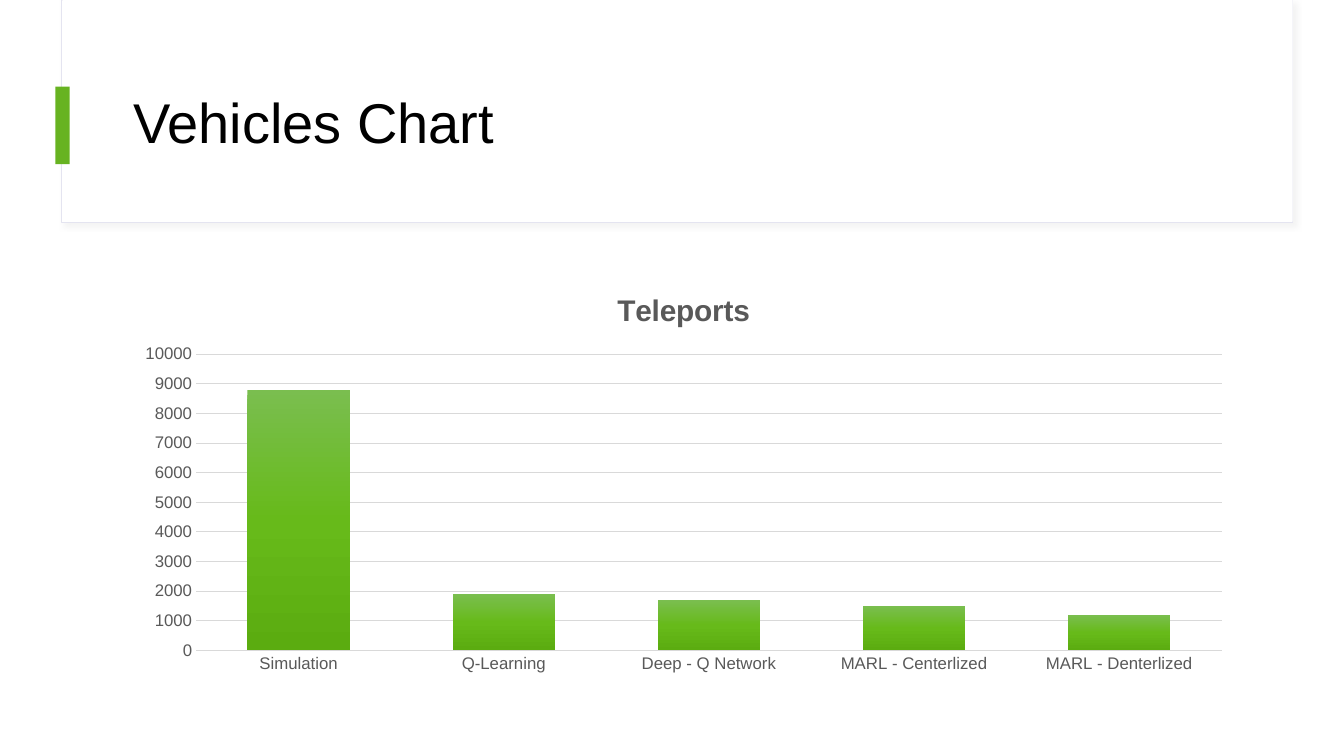
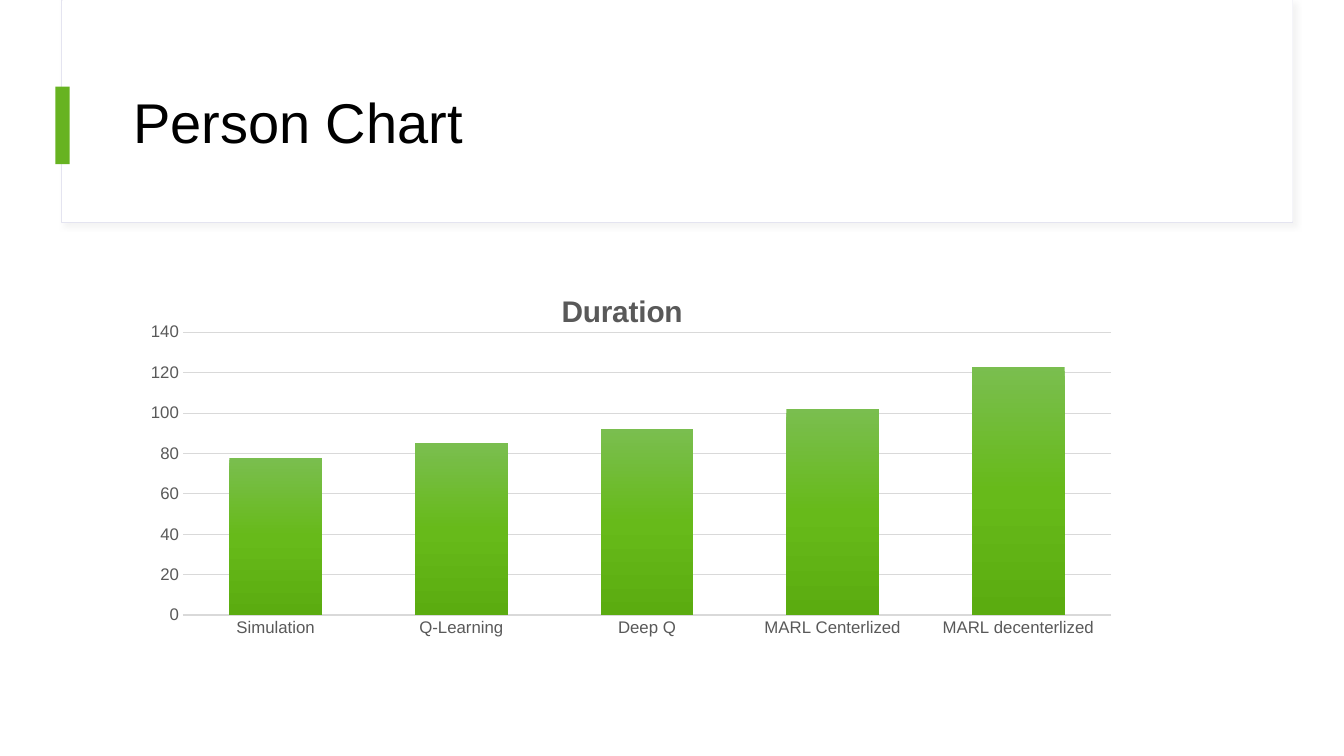
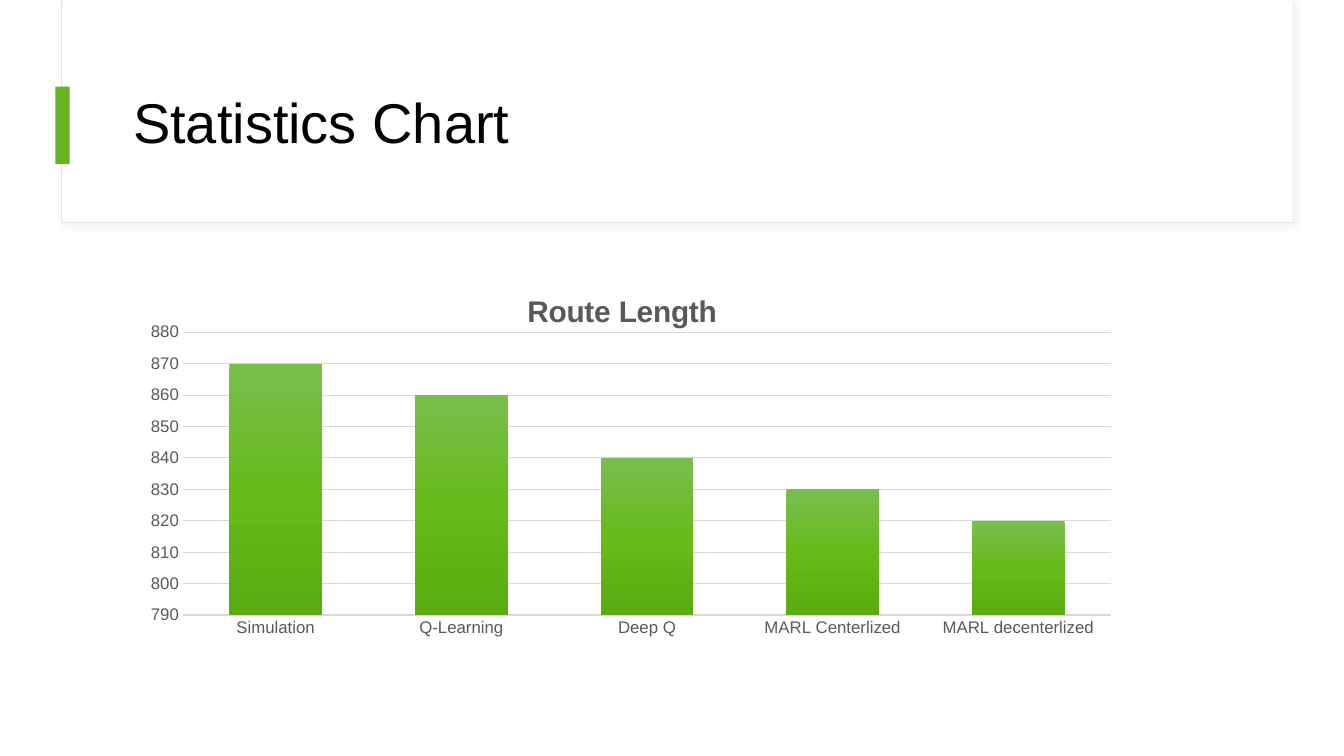
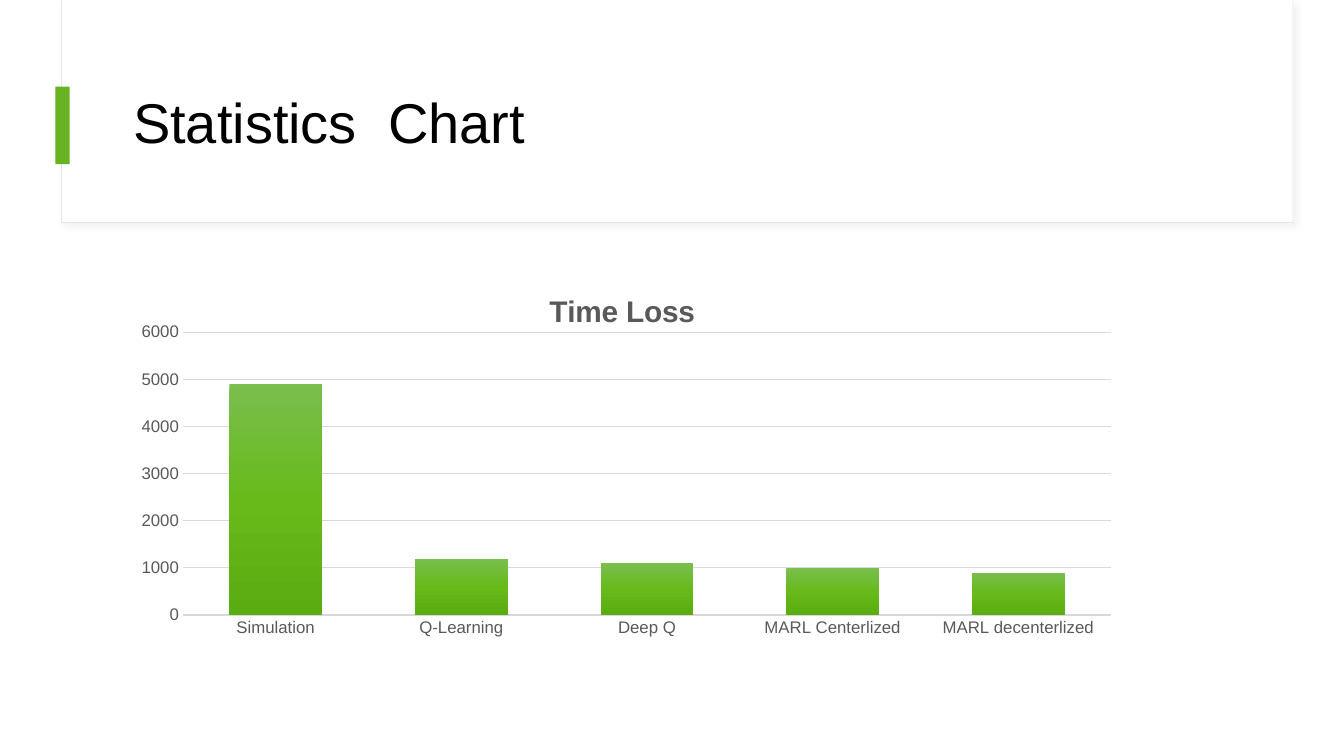
from dataclasses import dataclass

import lxml.etree
import pptx
import pptx.chart.data
import pptx.dml.color
import pptx.enum.chart
import pptx.enum.shapes
import pptx.enum.text
import pptx.oxml
import pptx.oxml.ns
import pptx.util

Inches = pptx.util.Inches
Pt = pptx.util.Pt
qn = pptx.oxml.ns.qn


def rgb(code):
    return pptx.dml.color.RGBColor.from_string(code)


def apply(target, formats):
    for name, value in formats.items():
        setattr(target, name, value)


def place(shape, box):
    apply(shape, dict(zip(("left", "top", "width", "height"), map(Inches, box))))


def child(parent, tag, **attributes):
    return lxml.etree.SubElement(parent, qn(tag), attributes)


@dataclass(frozen=True)
class Theme:
    font: str = "Arial"
    white: str = "FFFFFF"
    ink: str = "000000"
    accent: str = "67B321"
    frame: str = "E4E4F0"
    shade: str = "D9D9D9"
    label: str = "595959"
    bar_stops: tuple = ((0, "7ABE4F"), (50, "67BA1A"), (100, "5BAC10"))
    title_size: float = 40
    heading_size: float = 21.3
    axis_size: float = 12
    chart_size: float = 10


class Deck:
    def __init__(self, theme):
        self.theme = theme
        self.show = pptx.Presentation()
        apply(self.show, {"slide_width": Inches(13.33), "slide_height": Inches(7.5)})
        self.layout = self.show.slide_layouts.get_by_name("Title Only")
        self.slide = None

    def style_font(self, font, size, color, bold=False):
        apply(font, {"name": self.theme.font, "size": Pt(size), "bold": bold})
        font.color.rgb = rgb(color)

    def style_line(self, line, color, width):
        line.color.rgb = rgb(color)
        line.width = Pt(width)

    def rectangle(self, box, color):
        shape = self.slide.shapes.add_shape(
            pptx.enum.shapes.MSO_SHAPE.RECTANGLE, *map(Inches, box))
        shape.shadow.inherit = False
        shape.fill.solid()
        shape.fill.fore_color.rgb = rgb(color)
        shape.line.fill.background()
        return shape

    def soft_shadow(self, shape):
        effects = shape.element.spPr.find(qn("a:effectLst"))
        shadow = child(effects, "a:outerShdw", blurRad=str(Pt(4)), dist=str(Pt(3)),
                       dir="2700000", algn="tl", rotWithShape="0")
        color = child(shadow, "a:srgbClr", val=self.theme.shade)
        child(color, "a:alpha", val="30000")

    def header_band(self):
        theme = self.theme
        frame = self.rectangle((0.61, 0, 12.21, 2.21), theme.white)
        self.style_line(frame.line, theme.frame, 0.75)
        self.soft_shadow(frame)
        panel = self.rectangle((0.62, 0, 12.2, 2.2), theme.white)
        marker = self.rectangle((0.55, 0.86, 0.14, 0.77), theme.accent)
        first_id = max(shape.shape_id for shape in self.layout.shapes) + 1
        for order, shape in enumerate((frame, panel, marker)):
            shape.element.nvSpPr.cNvPr.set("id", str(first_id + order))
            self.layout.shapes.element.insert(2 + order, shape.element)

    def add_slide(self, title):
        self.slide = self.show.slides.add_slide(self.layout)
        if len(self.show.slides) == 1:
            self.header_band()
        heading = self.slide.shapes.title
        place(heading, (1.22, 0.6, 11.12, 1.29))
        heading.text = title
        apply(heading.text_frame, {
            "word_wrap": True,
            "auto_size": pptx.enum.text.MSO_AUTO_SIZE.NONE,
            "vertical_anchor": pptx.enum.text.MSO_ANCHOR.MIDDLE,
        })
        paragraph = heading.text_frame.paragraphs[0]
        apply(paragraph, {"alignment": pptx.enum.text.PP_ALIGN.LEFT, "line_spacing": 0.9})
        self.style_font(paragraph.runs[0].font, self.theme.title_size, self.theme.ink)

    def column_chart(self, heading, series_name, categories, values, scale, box, plot_box=None):
        theme = self.theme
        data = pptx.chart.data.CategoryChartData()
        data.categories = categories
        data.add_series(series_name, values)
        chart = self.slide.shapes.add_chart(
            pptx.enum.chart.XL_CHART_TYPE.COLUMN_CLUSTERED, *map(Inches, box), data).chart
        chart.has_legend = False
        self.style_font(chart.font, theme.chart_size, theme.ink)
        chart.has_title = True
        chart.chart_title.include_in_layout = False
        caption = chart.chart_title.text_frame
        caption.text = heading
        self.style_font(caption.paragraphs[0].runs[0].font,
                        theme.heading_size, theme.label, bold=True)
        self.style_axes(chart, scale)
        apply(chart.plots[0], {"gap_width": 100, "overlap": -24, "vary_by_categories": False})
        self.gradient_bars(chart.plots[0].series[0])
        if plot_box:
            self.fix_plot(chart, plot_box)

    def style_axes(self, chart, scale):
        theme = self.theme
        no_tick = pptx.enum.chart.XL_TICK_MARK.NONE
        for axis in (chart.category_axis, chart.value_axis):
            apply(axis, {"major_tick_mark": no_tick, "minor_tick_mark": no_tick})
            self.style_font(axis.tick_labels.font, theme.axis_size, theme.label)
        self.style_line(chart.category_axis.format.line, theme.shade, 1)
        value_axis = chart.value_axis
        apply(value_axis, dict(zip(("minimum_scale", "maximum_scale", "major_unit"), scale)))
        value_axis.format.line.fill.background()
        value_axis.has_major_gridlines = True
        self.style_line(value_axis.major_gridlines.format.line, theme.shade, 0.75)

    def gradient_bars(self, series):
        series.invert_if_negative = False
        series.format.fill.gradient()
        gradient = series.format.fill._xPr.find(qn("a:gradFill"))
        for part in list(gradient):
            gradient.remove(part)
        stops = child(gradient, "a:gsLst")
        for position, color in self.theme.bar_stops:
            stop = child(stops, "a:gs", pos=str(position * 1000))
            child(stop, "a:srgbClr", val=color)
        child(gradient, "a:lin", ang="5400000", scaled="0")
        series.format.line.fill.background()

    def fix_plot(self, chart, plot_box):
        area = chart.element.find(".//" + qn("c:plotArea"))
        for old in area.findall(qn("c:layout")):
            area.remove(old)
        layout = pptx.oxml.parse_xml(
            "<c:layout %s/>" % pptx.oxml.ns.nsdecls("c"))
        area.insert(0, layout)
        manual = child(layout, "c:manualLayout")
        settings = {"layoutTarget": "inner", "xMode": "edge", "yMode": "edge"}
        settings.update(zip("xywh", map(str, plot_box)))
        for name, value in settings.items():
            child(manual, "c:" + name, val=value)


VEHICLE_METHODS = ("Simulation", "Q-Learning", "Deep - Q Network",
                   "MARL - Centerlized", "MARL - Denterlized")
METHODS = ("Simulation", "Q-Learning", "Deep Q", "MARL Centerlized", "MARL decenterlized")
STATISTICS = (
    ("Person Chart", "Duration", (78, 85, 92, 102, 123), (0, 140, 20)),
    ("Statistics Chart", "Route Length", (870, 860, 840, 830, 820), (790, 880, 10)),
    ("Statistics  Chart", "Time Loss", (4900, 1200, 1100, 1000, 900), (0, 6000, 1000)),
)


def main():
    deck = Deck(Theme())
    deck.add_slide("Vehicles Chart")
    deck.column_chart("Teleports", "Teleports", VEHICLE_METHODS,
                      (8800, 1900, 1700, 1500, 1200), (0, 10000, 1000),
                      (1.22, 2.71, 11.12, 4.04))
    for title, heading, values, scale in STATISTICS:
        deck.add_slide(title)
        deck.column_chart(heading, "Series 1", METHODS, values, scale,
                          (1.22, 2.71, 9.9, 4.19), (0.06, 0.14, 0.93, 0.67))
    deck.show.save("out.pptx")


if __name__ == "__main__":
    main()
